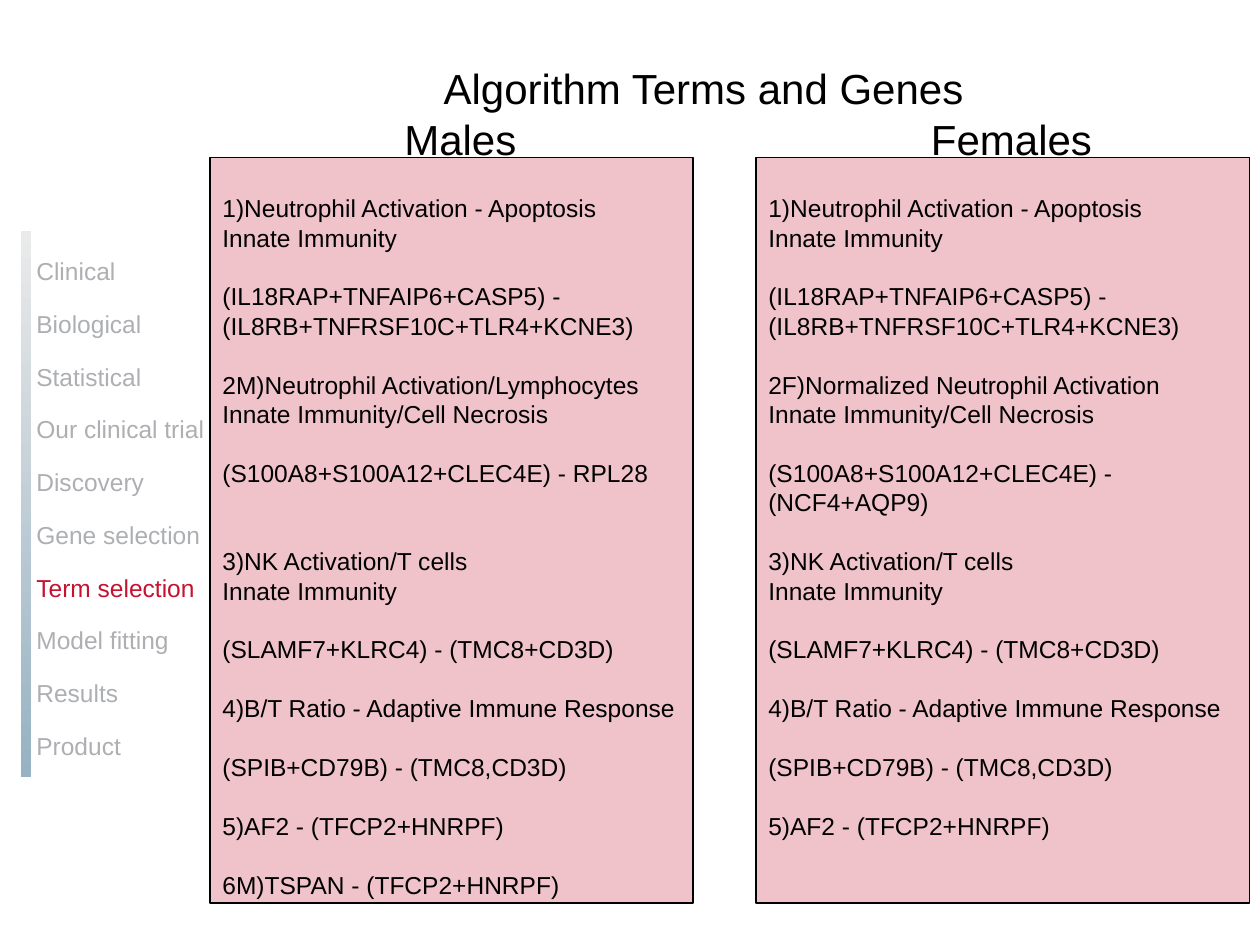
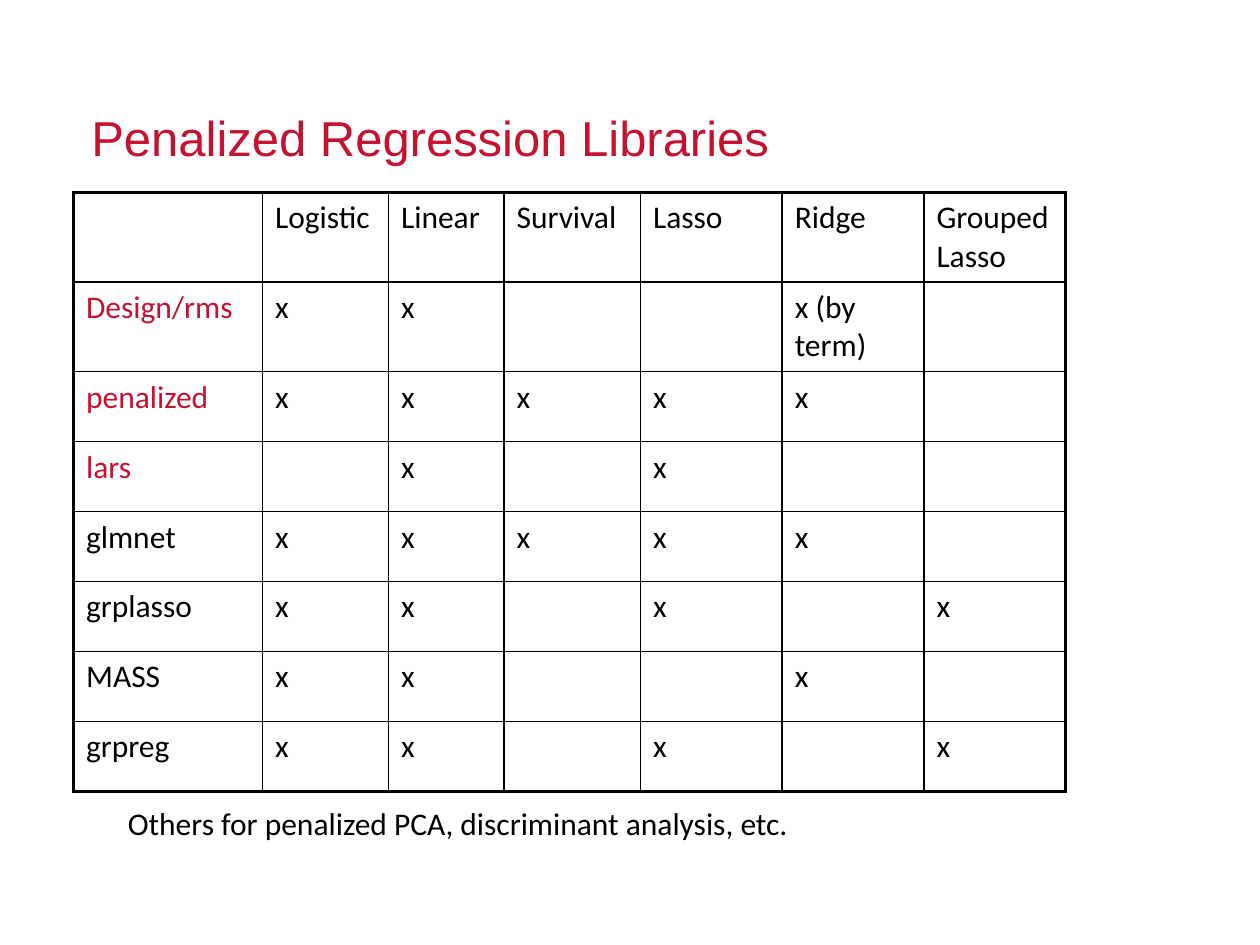
from dataclasses import dataclass

import pptx
import pptx.dml.color
import pptx.enum.shapes
import pptx.enum.text
import pptx.oxml
import pptx.oxml.ns
import pptx.util

Pt = pptx.util.Pt
ALIGN = pptx.enum.text.PP_ALIGN
ANCHOR = pptx.enum.text.MSO_ANCHOR
RECT = pptx.enum.shapes.MSO_SHAPE.RECTANGLE


@dataclass(frozen=True)
class Theme:
    accent: str = "C41230"
    ink: str = "000000"
    muted: str = "ADAFB2"
    band_top: str = "EAEAEA"
    band_bottom: str = "97B2C3"
    sans: str = "Arial"
    table_font: str = "Calibri"
    title: int = 28
    heading: int = 24
    table: int = 18
    body: int = 14
    body_line: float = 16.82
    thin: float = 1
    thick: float = 2.25


THEME = Theme()

STEPS = ["Clinical", "Biological", "Statistical", "Our clinical trial", "Discovery",
         "Gene selection", "Term selection", "Model fitting", "Results", "Product"]

NEUTROPHIL = [
    (0, "1)Neutrophil Activation - Apoptosis"),
    (0, "Innate Immunity"),
    (1, "(IL18RAP+TNFAIP6+CASP5) -"),
    (0, "(IL8RB+TNFRSF10C+TLR4+KCNE3)"),
]
MALE_NECROSIS = [
    (1, "2M)Neutrophil Activation/Lymphocytes"),
    (0, "Innate Immunity/Cell Necrosis"),
    (1, "(S100A8+S100A12+CLEC4E) - RPL28"),
]
FEMALE_NECROSIS = [
    (1, "2F)Normalized Neutrophil Activation"),
    (0, "Innate Immunity/Cell Necrosis"),
    (1, "(S100A8+S100A12+CLEC4E) -"),
    (0, "(NCF4+AQP9)"),
]
NK_CELLS = "3)NK Activation/T cells"
ADAPTIVE = [
    (0, "Innate Immunity"),
    (1, "(SLAMF7+KLRC4) - (TMC8+CD3D)"),
    (1, "4)B/T Ratio - Adaptive Immune Response"),
    (1, "(SPIB+CD79B) - (TMC8,CD3D)"),
    (1, "5)AF2 - (TFCP2+HNRPF)"),
]
MALE_TERMS = (NEUTROPHIL + MALE_NECROSIS + [(2, NK_CELLS)] + ADAPTIVE
              + [(1, "6M)TSPAN - (TFCP2+HNRPF)")])
FEMALE_TERMS = NEUTROPHIL + FEMALE_NECROSIS + [(1, NK_CELLS)] + ADAPTIVE

COLUMN_WIDTHS = [108, 72, 66, 78, 81, 81, 81]
LIBRARIES = [
    ["", "Logistic", "Linear", "Survival", "Lasso", "Ridge", "Grouped Lasso"],
    ["Design/rms", "x", "x", "", "", "x (by term)", ""],
    ["penalized", "x", "x", "x", "x", "x", ""],
    ["lars", "", "x", "", "x", "", ""],
    ["glmnet", "x", "x", "x", "x", "x", ""],
    ["grplasso", "x", "x", "", "x", "", "x"],
    ["MASS", "x", "x", "", "", "x", ""],
    ["grpreg", "x", "x", "", "x", "", "x"],
]
HIGHLIGHTED = {"Design/rms", "penalized", "lars"}


def rgb(color):
    return pptx.dml.color.RGBColor.from_string(color)


def add_paragraph(tf, text, size=THEME.body, color=THEME.ink, font=THEME.sans,
                  align=ALIGN.LEFT, before=0, line=None):
    p = tf.paragraphs[0]
    if p.runs:
        p = tf.add_paragraph()
    p.alignment = align
    p.space_before = Pt(before)
    if line:
        p.line_spacing = Pt(line)
    r = p.add_run()
    r.text = text
    r.font.size = Pt(size)
    r.font.name = font
    r.font.color.rgb = rgb(color)


def set_frame(tf, anchor=ANCHOR.TOP, inset_top=3.6):
    tf.word_wrap = True
    tf.auto_size = pptx.enum.text.MSO_AUTO_SIZE.NONE
    tf.vertical_anchor = anchor
    tf.margin_left = tf.margin_right = Pt(7.2)
    tf.margin_top, tf.margin_bottom = Pt(inset_top), Pt(3.6)
    return tf


def add_text_frame(s, left, top, width, height, **frame):
    sp = s.shapes.add_textbox(Pt(left), Pt(top), Pt(width), Pt(height))
    return set_frame(sp.text_frame, **frame)


def add_rect(s, left, top, width, height):
    sp = s.shapes.add_shape(RECT, Pt(left), Pt(top), Pt(width), Pt(height))
    sp.shadow.inherit = False
    return sp


def set_title(s, text, left, top, width, height, anchor, **fmt):
    sp = s.shapes.title
    sp.left, sp.top, sp.width, sp.height = Pt(left), Pt(top), Pt(width), Pt(height)
    add_paragraph(set_frame(sp.text_frame, anchor=anchor), text, **fmt)


def add_term_panel(s, heading, terms, left, width):
    tf = add_text_frame(s, left + 5, 61.4, width, 36, anchor=ANCHOR.MIDDLE)
    add_paragraph(tf, heading, size=THEME.heading, align=ALIGN.CENTER)

    sp = add_rect(s, left, 90, width, 426)
    sp.fill.solid()
    sp.fill.fore_color.rgb = rgb(THEME.accent)
    color = sp.fill._xPr.find(".//" + pptx.oxml.ns.qn("a:srgbClr"))
    color.append(pptx.oxml.parse_xml(
        f'<a:alpha {pptx.oxml.ns.nsdecls("a")} val="25000"/>'))
    sp.line.color.rgb = rgb(THEME.ink)
    sp.line.width = Pt(0.75)
    tf = set_frame(sp.text_frame, inset_top=3.6 + THEME.body_line)
    for gap, text in terms:
        add_paragraph(tf, text, before=gap * THEME.body_line, line=THEME.body_line)


def add_step_list(s, current):
    tf = add_text_frame(s, 13.68, 133.92, 147.6, 322.5, inset_top=12.6)
    for i, step in enumerate(STEPS):
        add_paragraph(tf, step, color=THEME.accent if step == current else THEME.muted,
                      before=13.3 if i else 0, line=THEME.body_line)

    band = add_rect(s, 12, 132, 6, 312)
    band.line.fill.background()
    band.fill.gradient()
    band.fill.gradient_angle = 270
    for stop, color in zip(band.fill.gradient_stops, (THEME.band_top, THEME.band_bottom)):
        stop.color.rgb = rgb(color)


def set_borders(cell, outer_sides):
    tcPr = cell._tc.get_or_add_tcPr()
    for side in "LRTB":
        width = Pt(THEME.thick if side in outer_sides else THEME.thin)
        tcPr.append(pptx.oxml.parse_xml(
            f'<a:ln{side} {pptx.oxml.ns.nsdecls("a")} w="{int(width)}"><a:solidFill>'
            f'<a:srgbClr val="{THEME.ink}"/></a:solidFill></a:ln{side}>'))


def add_library_table(s, rows, left, top):
    last_row, last_col = len(rows) - 1, len(COLUMN_WIDTHS) - 1
    table = s.shapes.add_table(len(rows), len(COLUMN_WIDTHS), Pt(left), Pt(top),
                               Pt(sum(COLUMN_WIDTHS)), Pt(40 * len(rows))).table
    table.first_row = table.horz_banding = False
    for column, width in zip(table.columns, COLUMN_WIDTHS):
        column.width = Pt(width)
    for i, row in enumerate(rows):
        table.rows[i].height = Pt(51.2 if i < 2 else 40)
        for j, text in enumerate(row):
            cell = table.cell(i, j)
            edges = {"L": j == 0, "R": j == last_col, "T": i == 0, "B": i == last_row}
            set_borders(cell, [side for side, outer in edges.items() if outer])
            cell.fill.background()
            if text:
                color = THEME.accent if text in HIGHLIGHTED else THEME.ink
                add_paragraph(cell.text_frame, text, size=THEME.table, color=color,
                              font=THEME.table_font)


def build_terms_slide(prs):
    s = prs.slides.add_slide(prs.slide_layouts[5])
    set_title(s, "Algorithm Terms and Genes", 144, 31, 516, 38, ANCHOR.MIDDLE,
              size=THEME.heading, align=ALIGN.CENTER)
    add_term_panel(s, "Males", MALE_TERMS, 120, 276)
    add_term_panel(s, "Females", FEMALE_TERMS, 432, 282)
    add_step_list(s, "Term selection")


def build_libraries_slide(prs):
    s = prs.slides.add_slide(prs.slide_layouts[5])
    set_title(s, "Penalized Regression Libraries", 45, 24.5, 573, 74, ANCHOR.BOTTOM,
              size=THEME.title, color=THEME.accent)
    add_library_table(s, LIBRARIES, 42, 110)
    tf = add_text_frame(s, 66, 456, 498, 29)
    add_paragraph(tf, "Others for penalized PCA, discriminant analysis, etc.",
                  size=THEME.table, font=THEME.table_font)


def main():
    prs = pptx.Presentation()
    prs.slide_width, prs.slide_height = Pt(720), Pt(540)
    build_terms_slide(prs)
    build_libraries_slide(prs)
    prs.save("out.pptx")


if __name__ == "__main__":
    main()
